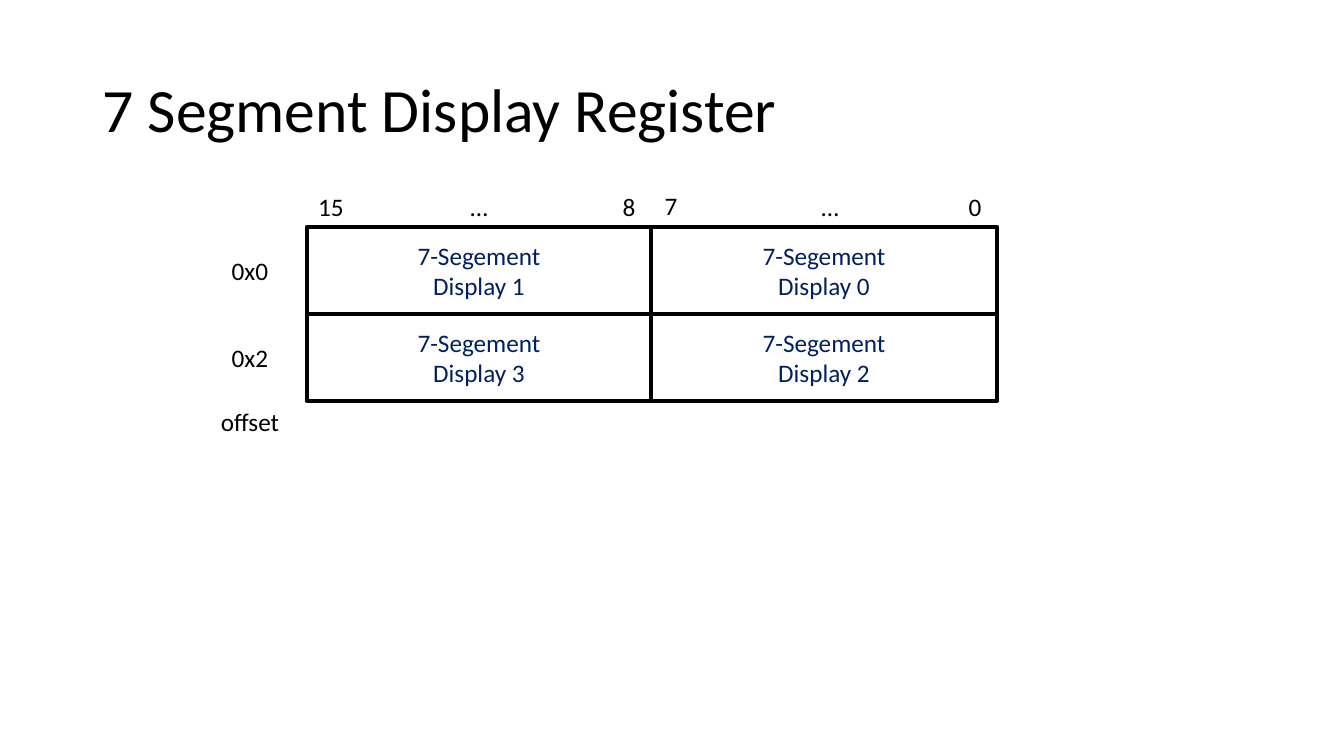
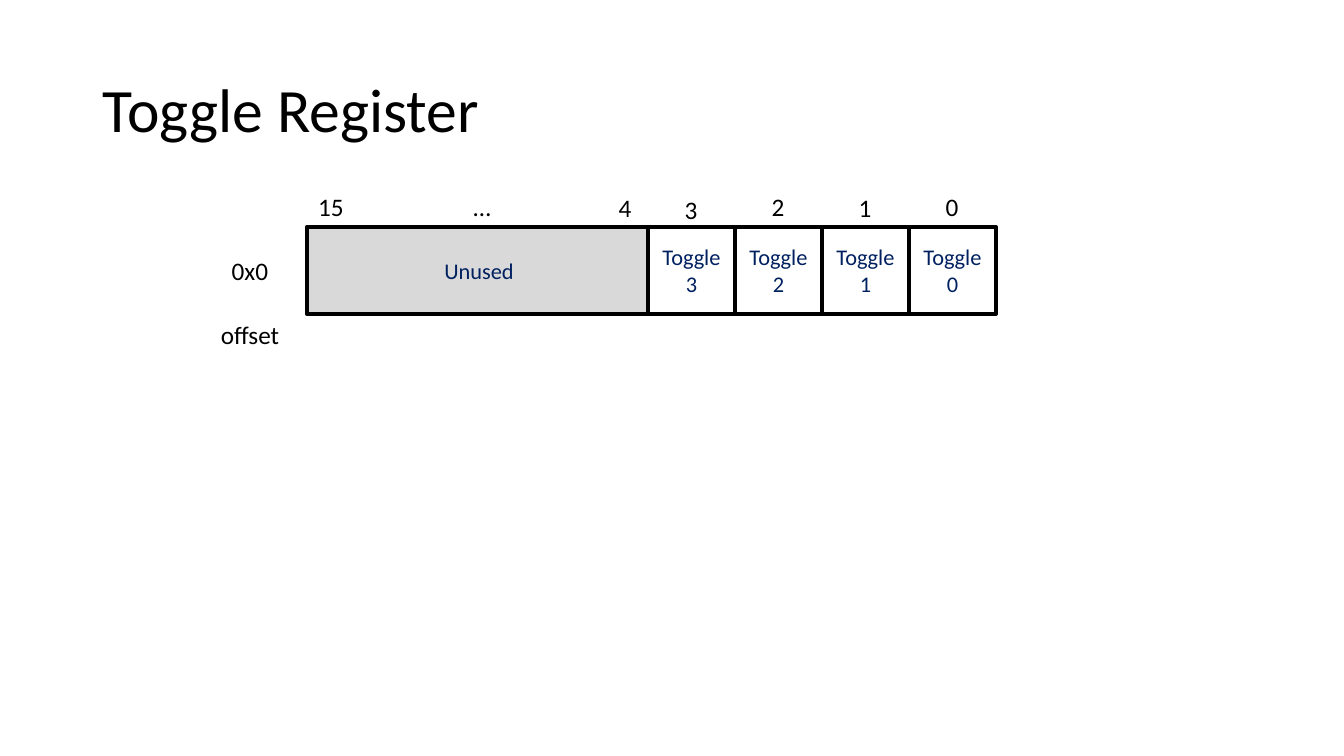
from pptx import Presentation
from pptx.dml.color import RGBColor
from pptx.enum.shapes import MSO_SHAPE as Shape
from pptx.enum.text import MSO_ANCHOR as Anchor, MSO_AUTO_SIZE as AutoSize, PP_ALIGN as Align
from pptx.util import Emu, Pt

COLORS = {"black": "000000", "white": "FFFFFF", "navy": "002060", "gray": "D9D9D9"}
FONT = "Calibri"
PIXEL = 914400 / 100.8

GRID_LEFT, GRID_TOP, ROW_HEIGHT = 307, 227, 87
OFFSET_CENTER, LABEL_HEIGHT = 250, 40
HALF_SPANS = [(GRID_LEFT, 344), (651, 346)]
TOGGLE_LEFT, TOGGLE_SIZE = 648, 87
TOGGLE_SPANS = [(TOGGLE_LEFT + TOGGLE_SIZE * i, TOGGLE_SIZE) for i in range(4)]
TOGGLE_CENTERS = [left + width // 2 for left, width in TOGGLE_SPANS]
LABEL_WIDTHS = {"15": 46, "…": 38, "0x0": 57, "0x2": 57, "offset": 79}
DIGIT_WIDTH = 33

REGISTERS = [
    {
        "title": "7 Segment Display Register",
        "spans": HALF_SPANS,
        "size": 18,
        "bits": [("15", 331, 186), ("…", 479, 186), ("8", 629, 186),
                 ("7", 671, 185), ("…", 830, 186), ("0", 975, 186)],
        "rows": [
            ("0x0", ["7-Segement\nDisplay 1", "7-Segement\nDisplay 0"]),
            ("0x2", ["7-Segement\nDisplay 3", "7-Segement\nDisplay 2"]),
        ],
    },
    {
        "title": "Toggle Register",
        "spans": HALF_SPANS[:1] + TOGGLE_SPANS,
        "size": 16,
        "bits": [("15", 331, 186), ("…", 482, 186), ("4", 625, 187)]
                + list(zip("3210", TOGGLE_CENTERS, (189, 186, 187, 186))),
        "rows": [("0x0", ["Unused", "Toggle 3", "Toggle 2", "Toggle 1", "Toggle 0"])],
    },
]


def px(*lengths):
    return [Emu(round(length * PIXEL)) for length in lengths]


def color(name):
    return RGBColor.from_string(COLORS[name])


def write(shape, text, size, ink, align=Align.CENTER):
    paragraph = shape.text_frame.paragraphs[0]
    paragraph.alignment = align
    for index, line in enumerate(text.split("\n")):
        if index:
            paragraph.add_line_break()
        run = paragraph.add_run()
        run.text = line
        run.font.name = FONT
        run.font.size = Pt(size)
        run.font.color.rgb = color(ink)
    return paragraph


def add_title(slide, text):
    shape = slide.shapes.add_textbox(*px(93, 40, 1159, 146))
    shape.text_frame.word_wrap = True
    shape.text_frame.vertical_anchor = Anchor.MIDDLE
    write(shape, text, 44, "black", Align.LEFT).line_spacing = 0.9


def add_label(slide, text, center, top):
    width = LABEL_WIDTHS.get(text, DIGIT_WIDTH)
    shape = slide.shapes.add_textbox(*px(center - width / 2, top, width, LABEL_HEIGHT))
    shape.text_frame.word_wrap = False
    shape.text_frame.auto_size = AutoSize.SHAPE_TO_FIT_TEXT
    write(shape, text, 18, "black")


def add_field(slide, text, left, top, width, size):
    shape = slide.shapes.add_shape(Shape.RECTANGLE, *px(left, top, width, ROW_HEIGHT))
    shape.shadow.inherit = False
    shape.fill.solid()
    shape.fill.fore_color.rgb = color("gray" if text == "Unused" else "white")
    shape.line.color.rgb = color("black")
    shape.line.width = Pt(3)
    shape.text_frame.word_wrap = True
    shape.text_frame.vertical_anchor = Anchor.MIDDLE
    write(shape, text, size, "navy")


def add_register(presentation, register):
    slide = presentation.slides.add_slide(presentation.slide_layouts[6])
    add_title(slide, register["title"])
    top = GRID_TOP
    for offset, fields in register["rows"]:
        for text, (left, width) in zip(fields, register["spans"]):
            add_field(slide, text, left, top, width, register["size"])
        add_label(slide, offset, OFFSET_CENTER, top + (ROW_HEIGHT - LABEL_HEIGHT) // 2)
        top += ROW_HEIGHT
    add_label(slide, "offset", OFFSET_CENTER, top)
    for bit in register["bits"]:
        add_label(slide, *bit)


presentation = Presentation()
presentation.slide_width, presentation.slide_height = px(1344, 756)
for register in REGISTERS:
    add_register(presentation, register)
presentation.save("out.pptx")
